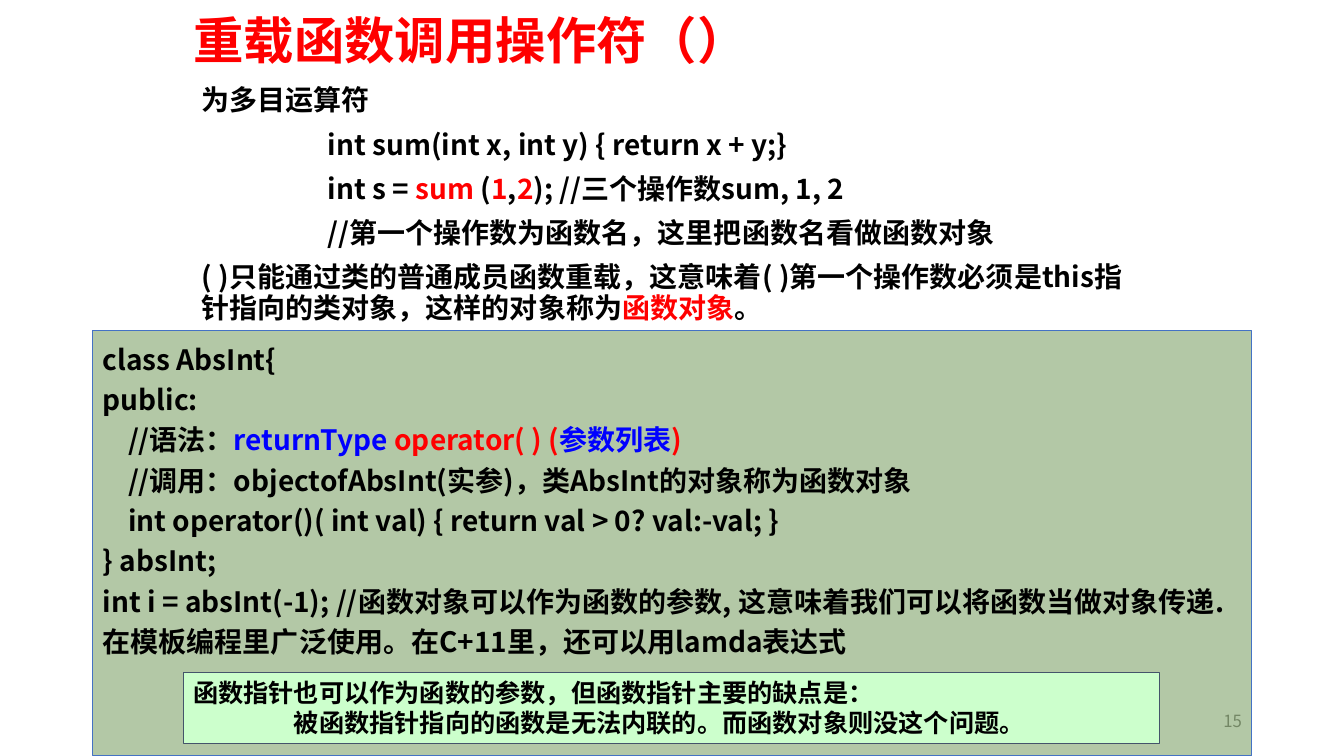
from lxml import etree
from pptx import Presentation
from pptx.dml.color import RGBColor
from pptx.enum.shapes import MSO_SHAPE
from pptx.enum.text import MSO_ANCHOR, MSO_AUTO_SIZE, PP_ALIGN
from pptx.oxml.ns import qn
from pptx.util import Cm, Pt

RECTANGLE = MSO_SHAPE.RECTANGLE
TOP, MIDDLE = MSO_ANCHOR.TOP, MSO_ANCHOR.MIDDLE
LEFT, RIGHT = PP_ALIGN.LEFT, PP_ALIGN.RIGHT
NO_AUTOFIT = MSO_AUTO_SIZE.NONE

BLACK = RGBColor(0x00, 0x00, 0x00)
RED = RGBColor(0xFF, 0x00, 0x00)
BLUE = RGBColor(0x00, 0x00, 0xFF)
GREY = RGBColor(0x8C, 0x8C, 0x8C)
OLIVE = RGBColor(0x54, 0x82, 0x35)
MINT = RGBColor(0xCC, 0xFF, 0xCC)
EDGE_BLUE = RGBColor(0x44, 0x72, 0xC4)
SLATE = RGBColor(0x44, 0x54, 0x6A)

TITLE_FONT = "Noto Sans CJK SC"
BODY_FONT = "Noto Sans CJK JP"
TITLE_ONLY = 5

# Each paragraph: left indent in cm, then its spans as (text, colour).
INTRO = [
    (0, [("为多目运算符", BLACK)]),
    (3.18, [("int sum(int x, int y) { return x + y;}", BLACK)]),
    (3.18, [("int s = ", BLACK), ("sum", RED), (" (", BLACK), ("1", RED),
            (",", BLACK), ("2", RED), ("); //三个操作数sum, 1, 2", BLACK)]),
    (3.18, [("//第一个操作数为函数名，这里把函数名看做函数对象", BLACK)]),
    (0, [("( )只能通过类的普通成员函数重载，这意味着( )第一个操作数必须是this"
          "指针指向的类对象，这样的对象称为", BLACK),
         ("函数对象", RED), ("。", BLACK)]),
]
CODE = [
    (0, [("class AbsInt{", BLACK)]),
    (0, [("public:", BLACK)]),
    (0.64, [("//语法：", BLACK), ("returnType", BLUE),
            (" operator( ) (", RED), ("参数列表", BLUE), (")", RED)]),
    (0.64, [("//调用：objectofAbsInt(实参)，类AbsInt的对象称为函数对象", BLACK)]),
    (0.64, [("int operator()( int val) { return val > 0? val:-val; }", BLACK)]),
    (0, [("} absInt;", BLACK)]),
    (0, [("int i = absInt(-1); //函数对象可以作为函数的参数, "
          "这意味着我们可以将函数当做对象传递. "
          "在模板编程里广泛使用。在C+11里，还可以用lamda表达式", BLACK)]),
]
NOTE = [
    (0, [("函数指针也可以作为函数的参数，但函数指针主要的缺点是：", BLACK)]),
    (2.54, [("被函数指针指向的函数是无法内联的。而函数对象则没这个问题。", BLACK)]),
]


def write(frame, paragraphs, size=20, font=BODY_FONT, bold=True, align=LEFT,
          anchor=TOP, line_spacing=1.0, before=0):
    """Fill a text frame with indented paragraphs of coloured spans."""
    frame.word_wrap = True
    frame.auto_size = NO_AUTOFIT
    frame.vertical_anchor = anchor
    for index, (indent, spans) in enumerate(paragraphs):
        para = frame.add_paragraph() if index else frame.paragraphs[0]
        para.alignment = align
        para.line_spacing = line_spacing
        para.space_before = Pt(before)
        if indent:
            properties = para._p.get_or_add_pPr()
            properties.set("marL", str(Cm(indent)))
            properties.set("indent", "0")
        for text, colour in spans:
            span = para.add_run()
            span.text = text
            span.font.size = Pt(size)
            span.font.bold = bold
            span.font.color.rgb = colour
            span.font.name = font
            east_asian = etree.SubElement(span._r.get_or_add_rPr(), qn("a:ea"))
            east_asian.set("typeface", font)


class Page:
    """The current slide and the style of its elements."""

    def __init__(self, deck):
        self.slide = deck.slides.add_slide(deck.slide_layouts[TITLE_ONLY])

    def title(self, text, left, top, width, height):
        box = self.slide.shapes.title
        box.left, box.top = Cm(left), Cm(top)
        box.width, box.height = Cm(width), Cm(height)
        write(box.text_frame, [(0, [(text, RED)])], size=36, font=TITLE_FONT,
              anchor=MIDDLE, line_spacing=0.9)

    def text(self, paragraphs, left, top, width, height, **text_format):
        box = self.slide.shapes.add_textbox(Cm(left), Cm(top), Cm(width), Cm(height))
        write(box.text_frame, paragraphs, **text_format)

    def panel(self, paragraphs, left, top, width, height, fill, edge,
              edge_width, opacity=100, **text_format):
        box = self.slide.shapes.add_shape(
            RECTANGLE, Cm(left), Cm(top), Cm(width), Cm(height))
        box.shadow.inherit = False
        box.fill.solid()
        box.fill.fore_color.rgb = fill
        if opacity < 100:
            colour = box._element.spPr.find(qn("a:solidFill"))[0]
            etree.SubElement(colour, qn("a:alpha")).set("val", str(opacity * 1000))
        box.line.color.rgb = edge
        box.line.width = Pt(edge_width)
        write(box.text_frame, paragraphs, **text_format)


def main():
    deck = Presentation()
    deck.slide_width, deck.slide_height = Cm(33.87), Cm(19.05)
    page = Page(deck)
    page.title("重载函数调用操作符（）", 4.62, -0.08, 21.59, 2.34)
    page.text([(0, [("15", GREY)])], 23.93, 17.65, 7.62, 1.02, size=12,
              font=TITLE_FONT, bold=False, align=RIGHT, anchor=MIDDLE)
    page.text(INTRO, 4.83, 2.06, 23.8, 5.59, line_spacing=0.9, before=10)
    page.panel(CODE, 2.34, 8.33, 29.21, 10.72, OLIVE, EDGE_BLUE, 0.75,
               opacity=44, line_spacing=1.2)
    page.panel(NOTE, 4.62, 16.94, 24.61, 1.8, MINT, SLATE, 1, size=18)
    deck.save("out.pptx")


if __name__ == "__main__":
    main()
